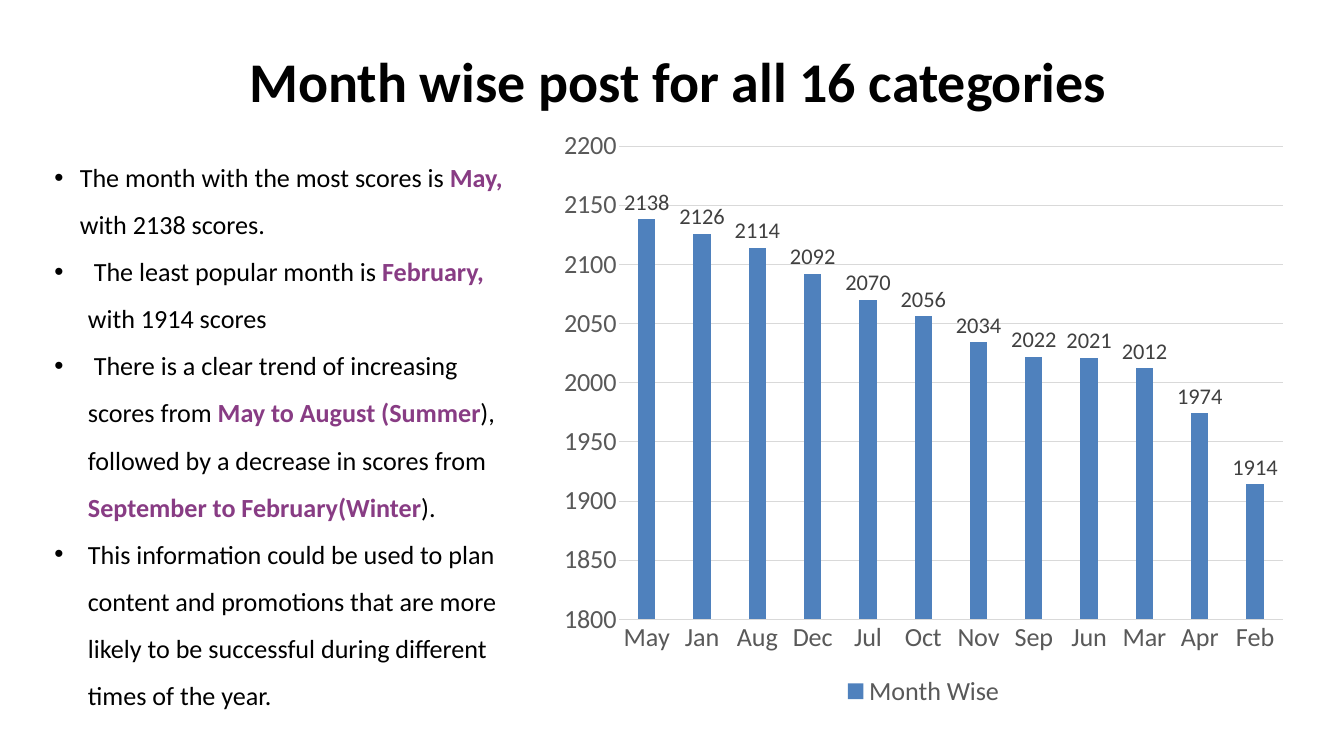
from lxml.etree import SubElement
from pptx import Presentation
from pptx.chart.data import CategoryChartData
from pptx.dml.color import RGBColor
from pptx.enum.chart import (XL_CHART_TYPE as CT, XL_LABEL_POSITION as LabelPos,
                             XL_LEGEND_POSITION as LegendPos, XL_TICK_MARK as Tick)
from pptx.enum.text import MSO_AUTO_SIZE as AutoSize, PP_ALIGN as Align
from pptx.oxml.ns import qn
from pptx.util import Inches, Pt

W, H = 20, 11.25
FONT = "Calibri"
BLACK, PURPLE, BLUE = "000000", "883C84", "4F81BD"
GREY, DARK_GREY, LIGHT_GREY = "595959", "404040", "D9D9D9"

POSTS = {"May": 2138, "Jan": 2126, "Aug": 2114, "Dec": 2092, "Jul": 2070, "Oct": 2056,
         "Nov": 2034, "Sep": 2022, "Jun": 2021, "Mar": 2012, "Apr": 1974, "Feb": 1914}

FINDINGS = [
    (0.38, ["The month with the most scores is ", "May, ", "with 2138 scores."]),
    (0.5, [" The least popular month is ", "February,", " with 1914 scores"]),
    (0.5, [" There is a clear trend of increasing scores from ", "May to August (Summer",
           "), followed by a decrease in scores from ", "September to February(Winter", ")."]),
    (0.5, ["This information could be used to plan content and promotions that are more "
           "likely to be successful during different times of the year."]),
]


def rgb(value):
    return RGBColor.from_string(value)


def style(font, size, color, bold=False):
    font.name, font.size, font.bold = FONT, Pt(size), bold
    font.color.rgb = rgb(color)


def add_text(p, text, size=28, color=BLACK, bold=False):
    r = p.add_run()
    r.text = text
    style(r.font, size, color, bold)


def add_box(s, box):
    tf = s.shapes.add_textbox(*map(Inches, box)).text_frame
    tf.word_wrap = True
    tf.auto_size = AutoSize.SHAPE_TO_FIT_TEXT
    return tf


def set_bullet(p, indent):
    pPr = p._p.get_or_add_pPr()
    pPr.set("marL", str(Inches(indent)))
    pPr.set("indent", str(-Inches(indent)))
    SubElement(pPr, qn("a:buFont"), typeface="Arial")
    SubElement(pPr, qn("a:buChar"), char="•")


def add_title(s, box):
    p = add_box(s, box).paragraphs[0]
    p.alignment = Align.CENTER
    add_text(p, "Month wise post for all 16 categories ", size=60, bold=True)


def add_findings(s, box):
    tf = add_box(s, box)
    for i, (indent, parts) in enumerate(FINDINGS):
        p = tf.add_paragraph() if i else tf.paragraphs[0]
        set_bullet(p, indent)
        p.line_spacing = 1.5
        for j, part in enumerate(parts):
            key = j % 2 == 1
            add_text(p, part, color=PURPLE if key else BLACK, bold=key)


def add_posts_chart(s, box):
    data = CategoryChartData()
    data.categories = list(POSTS)
    data.add_series("Month Wise", list(POSTS.values()))
    chart = s.shapes.add_chart(CT.COLUMN_CLUSTERED, *map(Inches, box), data).chart
    style(chart.font, 10, BLACK)
    chart.has_title = False
    chart.has_legend = True
    chart.legend.position = LegendPos.BOTTOM
    chart.legend.include_in_layout = False
    style(chart.legend.font, 28, GREY)

    months, scores = chart.category_axis, chart.value_axis
    for axis in (months, scores):
        axis.major_tick_mark = axis.minor_tick_mark = Tick.NONE
        style(axis.tick_labels.font, 28, GREY)
    scores.minimum_scale, scores.maximum_scale, scores.major_unit = 1800, 2200, 50
    scores.has_major_gridlines = True
    scores.format.line.fill.background()
    for line in (months.format.line, scores.major_gridlines.format.line):
        line.color.rgb = rgb(LIGHT_GREY)
        line.width = Pt(0.75)

    plot = chart.plots[0]
    plot.gap_width, plot.overlap, plot.vary_by_categories = 219, -27, False
    series = plot.series[0]
    series.format.fill.solid()
    series.format.fill.fore_color.rgb = rgb(BLUE)
    labels = series.data_labels
    labels.show_value = True
    labels.position = LabelPos.OUTSIDE_END
    style(labels.font, 24, DARK_GREY)


def main():
    prs = Presentation()
    prs.slide_width, prs.slide_height = Inches(W), Inches(H)
    s = prs.slides.add_slide(prs.slide_layouts[6])
    add_title(s, (1.06, 0.65, 18.25, 1.11))
    add_posts_chart(s, (8.17, 1.76, 11.14, 8.84))
    add_findings(s, (0.71, 2.12, 7.22, 8.51))
    prs.save("out.pptx")


if __name__ == "__main__":
    main()
